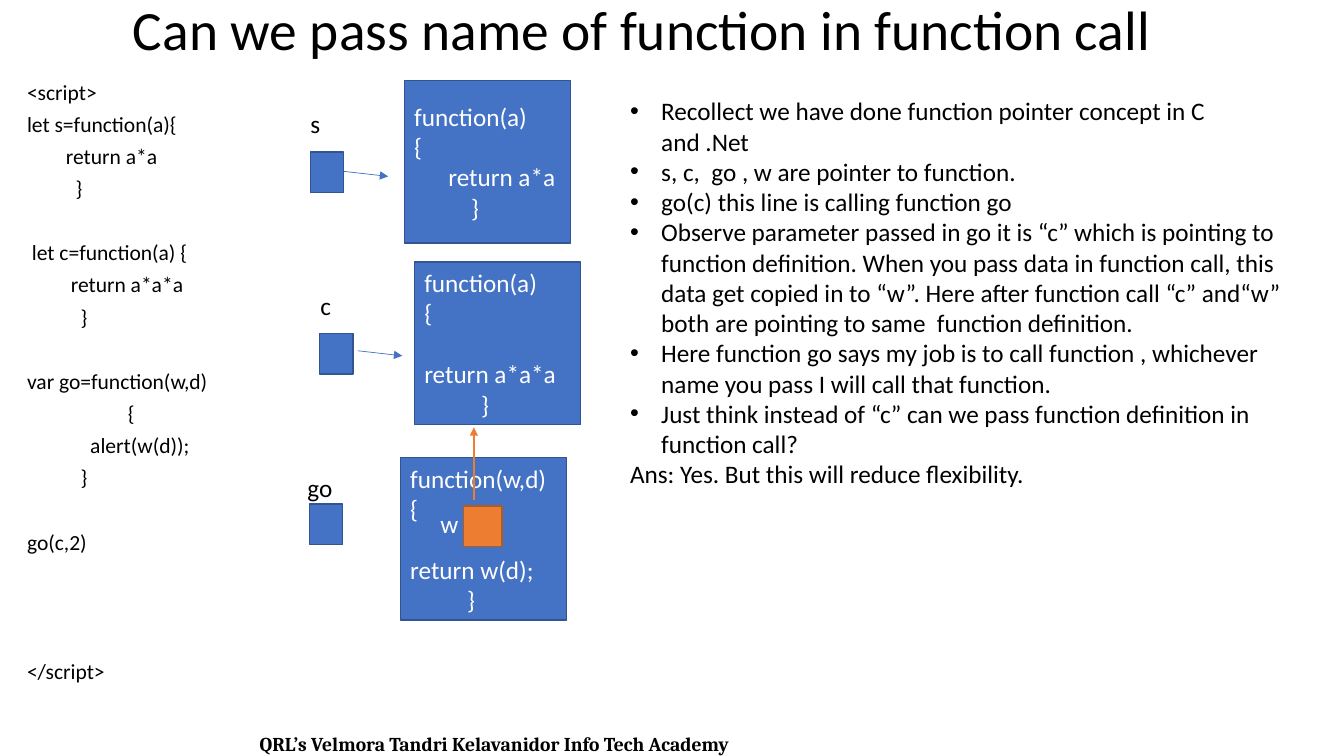
from dataclasses import dataclass

from lxml import etree
from pptx import Presentation
from pptx.dml.color import RGBColor
from pptx.enum.shapes import MSO_CONNECTOR, MSO_SHAPE
from pptx.enum.text import MSO_ANCHOR, PP_ALIGN
from pptx.oxml.ns import qn
from pptx.util import Inches, Pt

RECTANGLE = MSO_SHAPE.RECTANGLE
STRAIGHT = MSO_CONNECTOR.STRAIGHT
TOP, MIDDLE = MSO_ANCHOR.TOP, MSO_ANCHOR.MIDDLE
LEFT, CENTER = PP_ALIGN.LEFT, PP_ALIGN.CENTER

COLORS = {
    "black": "000000",
    "white": "FFFFFF",
    "blue": "4472C4",
    "navy": "325491",
    "orange": "ED7D31",
    "rust": "AF5C24",
}
BODY = {"name": "Calibri", "size": Pt(18), "bold": False}
TITLE = {"name": "Calibri", "size": Pt(39.6), "bold": False}
CODE = {"name": "Calibri", "size": Pt(15.4), "bold": False}
FOOTER = {"name": "Cambria", "size": Pt(14), "bold": True}

BODY_LINE = 22
CODE_GAP = 10
CODE_LINE = 23.1


@dataclass
class Line:
    text: str
    space_before: float = 0
    indent: float = 0
    bullet: bool = False


@dataclass
class Block:
    left: float
    top: float
    width: float
    height: float
    fill: str = "blue"
    edge: str = "navy"


@dataclass
class Pointer:
    name: str
    label: Block
    cell: Block
    target: Block
    code: list[Line]


@dataclass
class Arrow:
    start: tuple[float, float]
    end: tuple[float, float]
    color: str
    weight: float


def code_lines(rows: list[str], gap: float, pitch: float) -> list[Line]:
    lines: list[Line] = []
    skipped = 0
    for row in rows:
        if not row:
            skipped += 1
            continue
        lines.append(Line(row, gap + skipped * pitch if lines else 0))
        skipped = 0
    return lines


def write_lines(frame, lines: list[Line], style: dict, color: str,
                anchor=TOP, align=LEFT, spacing: float = 1.0) -> None:
    frame.word_wrap = True
    frame.vertical_anchor = anchor
    for index, line in enumerate(lines):
        para = frame.paragraphs[0] if index == 0 else frame.add_paragraph()
        properties = para._p.get_or_add_pPr()
        if line.indent:
            properties.set("marL", str(Inches(line.indent)))
        if line.bullet:
            properties.set("indent", str(-Inches(line.indent)))
            etree.SubElement(properties, qn("a:buFont"), typeface="Arial")
            etree.SubElement(properties, qn("a:buChar"), char="•")
        layout = {"alignment": align, "line_spacing": spacing,
                  "space_before": Pt(line.space_before)}
        for key, value in layout.items():
            setattr(para, key, value)
        span = para.add_run()
        span.text = line.text
        for key, value in style.items():
            setattr(span.font, key, value)
        span.font.color.rgb = RGBColor.from_string(COLORS[color])


def add_text(page, area: Block, lines: list[Line], style: dict = BODY,
             color: str = "black", **layout) -> None:
    box = page.shapes.add_textbox(Inches(area.left), Inches(area.top),
                                  Inches(area.width), Inches(area.height))
    write_lines(box.text_frame, lines, style, color, **layout)


def add_block(page, area: Block, lines: list[Line] | None = None) -> None:
    box = page.shapes.add_shape(RECTANGLE, Inches(area.left), Inches(area.top),
                                Inches(area.width), Inches(area.height))
    box.shadow.inherit = False
    box.fill.solid()
    box.fill.fore_color.rgb = RGBColor.from_string(COLORS[area.fill])
    box.line.color.rgb = RGBColor.from_string(COLORS[area.edge])
    box.line.width = Pt(1)
    if lines:
        write_lines(box.text_frame, lines, BODY, "white", anchor=MIDDLE)


def add_arrow(page, arrow: Arrow) -> None:
    ends = [Inches(value) for value in (*arrow.start, *arrow.end)]
    connector = page.shapes.add_connector(STRAIGHT, *ends)
    connector.line.color.rgb = RGBColor.from_string(COLORS[arrow.color])
    connector.line.width = Pt(arrow.weight)
    etree.SubElement(connector.line._get_or_add_ln(), qn("a:tailEnd"), type="triangle")
    etree.SubElement(connector._element.spPr, qn("a:effectLst"))


SCRIPT = code_lines([
    "<script>",
    "let s=function(a){",
    "        return a*a",
    "          }",
    "",
    " let c=function(a) {",
    "         return a*a*a",
    "           }",
    "",
    "var go=function(w,d)",
    "{",
    "             alert(w(d));",
    "           }",
    "",
    "go(c,2)",
    "", "", "",
    "</script>",
], CODE_GAP, CODE_LINE)
next(line for line in SCRIPT if line.text == "{").indent = 1.0

POINTERS = [
    Pointer("s", Block(2.98, 1.03, 0.43, 0.4), Block(3.08, 1.51, 0.33, 0.4),
            Block(4.01, 0.8, 1.65, 1.61),
            code_lines(["function(a)", "{", "      return a*a", "          }"],
                       0, BODY_LINE)),
    Pointer("c", Block(3.08, 2.83, 0.43, 0.4), Block(3.17, 3.31, 0.33, 0.4),
            Block(4.11, 2.6, 1.65, 1.61),
            code_lines(["function(a)", "{", "", "return a*a*a", "          }"],
                       0, BODY_LINE)),
    Pointer("go", Block(2.95, 4.64, 0.52, 0.4), Block(3.07, 5, 0.33, 0.4),
            Block(3.97, 4.54, 1.65, 1.61),
            code_lines(["function(w,d)", "{", "", "return w(d);", "          }"],
                       0, BODY_LINE)),
]
ARROWS = [
    Arrow((3.41, 1.7), (3.85, 1.75), "blue", 0.5),
    Arrow((3.55, 3.48), (3.99, 3.53), "blue", 0.5),
    Arrow((4.7, 4.96), (4.7, 4.24), "orange", 1.5),
]
NOTES = [
    "Recollect we have done function pointer concept in C and .Net",
    "s, c,  go , w are pointer to function.",
    "go(c) this line is calling function go",
    "Observe parameter passed in go it is “c” which is pointing to function "
    "definition. When you pass data in function call, this data get copied in to "
    "“w”. Here after function call “c” and“w” both are pointing to same  function "
    "definition.",
    "Here function go says my job is to call function , whichever name you pass "
    "I will call that function.",
    "Just think instead of “c” can we pass function definition in function call?",
]
ANSWER = Line("Ans: Yes. But this will reduce flexibility.")


def main() -> None:
    deck = Presentation()
    deck.slide_width, deck.slide_height = Inches(13.33), Inches(7.5)
    page = deck.slides.add_slide(deck.slide_layouts[6])
    add_text(page, Block(0.25, 7.21, 9.31, 0.34),
             [Line("QRL’s Velmora Tandri Kelavanidor Info Tech Academy")],
             FOOTER, align=CENTER)
    add_text(page, Block(1.22, 0, 11.2, 0.65),
             [Line("Can we pass name of function in function call")],
             TITLE, anchor=MIDDLE, spacing=0.9)
    add_text(page, Block(0.17, 0.8, 3.68, 5.96), SCRIPT, CODE, spacing=0.7)
    for pointer in POINTERS:
        add_block(page, pointer.target, pointer.code)
        add_block(page, pointer.cell)
        add_text(page, pointer.label, [Line(pointer.name)])
    add_block(page, Block(4.6, 5.02, 0.38, 0.4, "orange", "rust"))
    add_text(page, Block(4.27, 4.99, 0.43, 0.4), [Line("w")], color="white")
    for arrow in ARROWS:
        add_arrow(page, arrow)
    bullets = [Line(note, indent=0.31, bullet=True) for note in NOTES]
    add_text(page, Block(6.15, 0.9, 6.72, 4.34), [*bullets, ANSWER])
    deck.save("out.pptx")


if __name__ == "__main__":
    main()
